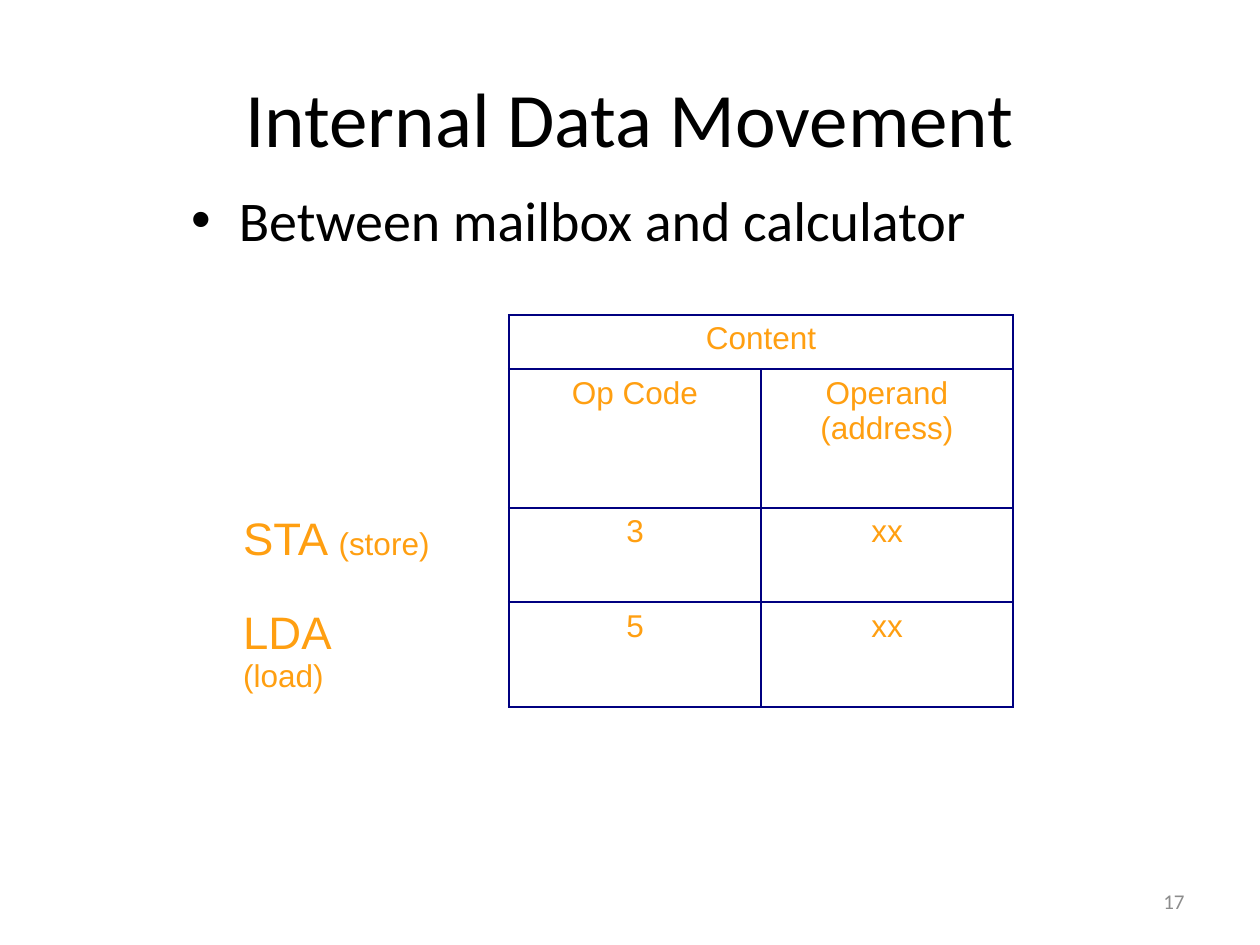
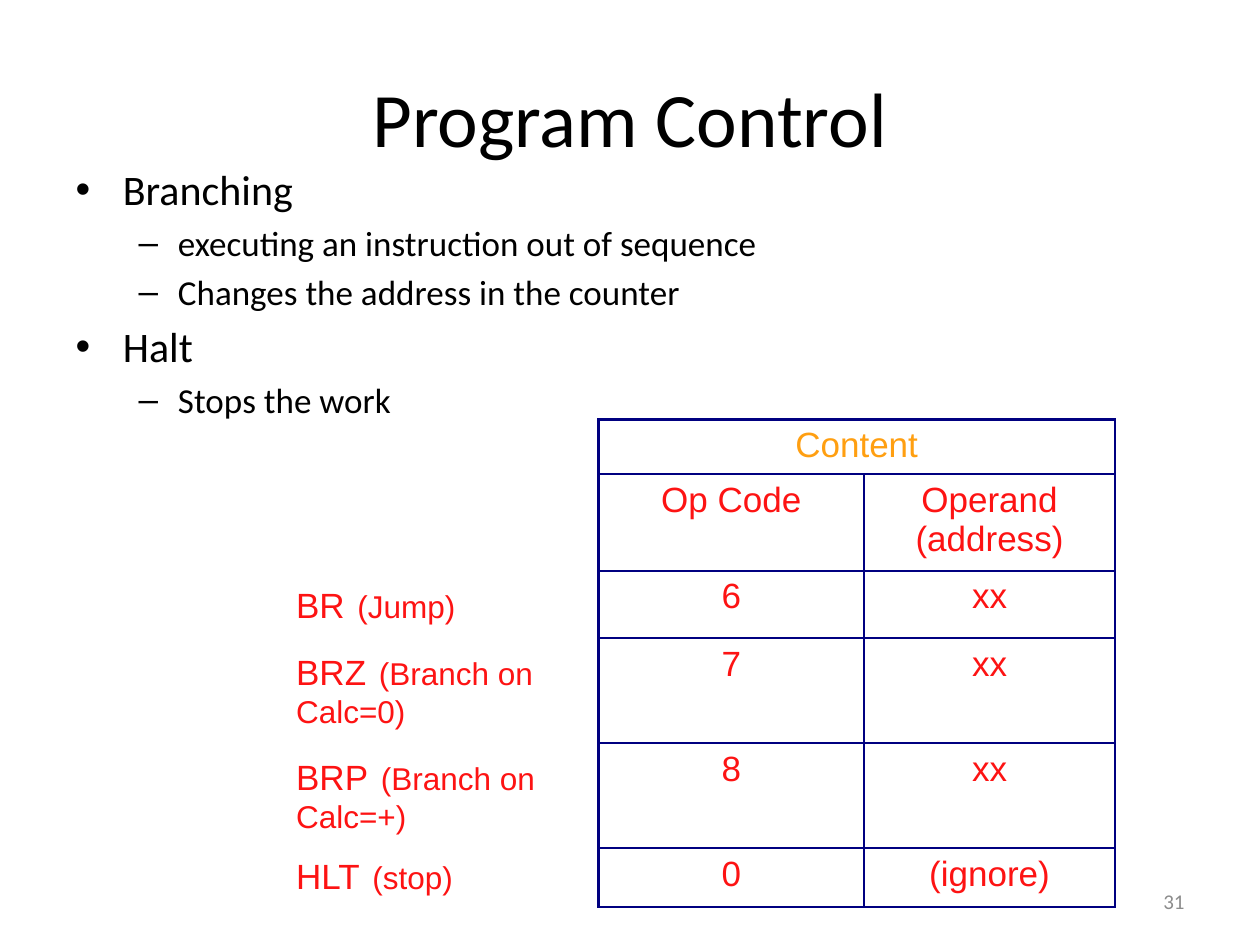
import dataclasses
import typing

import lxml.etree
import pptx
import pptx.dml.color
import pptx.enum.text
import pptx.oxml.ns
import pptx.util

Inches = pptx.util.Inches
Color = pptx.dml.color.RGBColor
Align = pptx.enum.text.PP_ALIGN

BLACK = Color(0x00, 0x00, 0x00)
WHITE = Color(0xFF, 0xFF, 0xFF)
GREY = Color(0x8C, 0x8C, 0x8C)
NAVY = Color(0x00, 0x00, 0x80)
ORANGE = Color(0xFF, 0x9F, 0x11)
RED = Color(0xFD, 0x13, 0x13)
HEAD = "Calibri"
CODE = "Arial"


class Run(typing.NamedTuple):
    text: str
    size: float


class Item(typing.NamedTuple):
    text: str
    size: float
    level: int = 0


class Order(typing.NamedTuple):
    """One row: the name lines in front of the frame, then two values."""
    name: list[list[Run]]
    code: str
    operand: str
    spacing: float | None = None


@dataclasses.dataclass
class Grid:
    left: float
    top: float
    cols: list[float]
    rows: list[float]
    size: float
    color: Color
    orders: list[Order]


@dataclasses.dataclass
class Page:
    title: str
    number: str
    box: tuple[float, float, float, float]
    items: list[Item]
    grid: Grid


def jump(name: str, note: str, code: str, operand: str = "xx",
         spacing: float | None = None) -> Order:
    runs = [Run(name, 20), Run(" ", 26), Run(note, 18)]
    return Order([runs], code, operand, spacing)


PAGES = [
    Page("Internal Data Movement", "17", (1.42, 1.42, 8.5, 0.83),
         [Item("Between mailbox and calculator", 32)],
         Grid(1.83, 2.5, [1.75, 0.46, 2, 2], [0.43, 1.1, 0.75, 0.83],
              18, ORANGE, [
                  Order([[Run("STA ", 26), Run("(store)", 18)]], "3", "xx"),
                  Order([[Run("LDA", 26)], [Run("(load)", 18)]], "5", "xx"),
              ])),
    Page("Program Control", "31", (0.5, 1.25, 9, 6),
         [Item("Branching", 24),
          Item("executing an instruction out of sequence", 20, 1),
          Item("Changes the address in the counter", 20, 1),
          Item("Halt", 24),
          Item("Stops the work", 20, 1)],
         Grid(2.25, 3.33, [2.26, 0.23, 2.11, 1.99],
              [0.42, 0.73, 0.5, 0.5, 0.39, 0.4], 20, RED, [
                  jump("BR", "(Jump)", "6"),
                  jump("BRZ", "(Branch on Calc=0)", "7"),
                  jump("BRP", "(Branch on Calc=+)", "8"),
                  jump("HLT", "(stop)", "0", "(ignore)", 0.85),
              ])),
]


def write(para, run: Run, color: Color, font: str) -> None:
    part = para.add_run()
    part.text = run.text
    part.font.size = pptx.util.Pt(run.size)
    part.font.name = font
    part.font.color.rgb = color


def place(shape, box: tuple[float, float, float, float]) -> None:
    shape.left, shape.top, shape.width, shape.height = map(Inches, box)


def fill(cell, lines: list[list[Run]], color: Color,
         align: Align = Align.CENTER, spacing: float | None = None) -> None:
    frame = cell.text_frame
    for i, runs in enumerate(lines):
        para = frame.add_paragraph() if i else frame.paragraphs[0]
        para.alignment = align
        para.line_spacing = spacing
        for run in runs:
            write(para, run, color, CODE)


def edge(cell, side: str, color: Color, width: float) -> None:
    qn = pptx.oxml.ns.qn
    line = lxml.etree.SubElement(cell._tc.get_or_add_tcPr(), qn(f"a:ln{side}"),
                                 w=str(pptx.util.Pt(width)))
    paint = lxml.etree.SubElement(line, qn("a:solidFill"))
    lxml.etree.SubElement(paint, qn("a:srgbClr"), val=str(color))


def frame_cell(cell, col: int) -> None:
    """Rule the value columns in navy and hide the lines round the names."""
    for side in "LRTB":
        if col > 1 or (col == 1 and side == "R"):
            edge(cell, side, NAVY, 1.5)
        else:
            edge(cell, side, WHITE, 1)
    cell.fill.background()


def add_grid(slide, grid: Grid) -> None:
    shape = slide.shapes.add_table(
        len(grid.rows), len(grid.cols), Inches(grid.left), Inches(grid.top),
        Inches(sum(grid.cols)), Inches(sum(grid.rows)))
    table = shape.table
    table.first_row = table.horz_banding = False
    for col, width in zip(table.columns, grid.cols):
        col.width = Inches(width)
    for row, height in zip(table.rows, grid.rows):
        row.height = Inches(height)
        for i, cell in enumerate(row.cells):
            frame_cell(cell, i)
    table.cell(0, 2).merge(table.cell(0, 3))

    def value(row: int, col: int, *texts: str, color: Color = grid.color) -> None:
        lines = [[Run(text, grid.size)] for text in texts]
        fill(table.cell(row, col), lines, color)

    value(0, 2, "Content", color=ORANGE)
    value(1, 2, "Op Code")
    value(1, 3, "Operand", "(address)")
    for row, order in enumerate(grid.orders, 2):
        fill(table.cell(row, 0), order.name, grid.color, Align.LEFT,
             order.spacing)
        value(row, 2, order.code)
        value(row, 3, order.operand)


def add_list(shape, page: Page) -> None:
    place(shape, page.box)
    frame = shape.text_frame
    frame.auto_size = pptx.enum.text.MSO_AUTO_SIZE.NONE
    for i, item in enumerate(page.items):
        para = frame.add_paragraph() if i else frame.paragraphs[0]
        para.level = item.level
        write(para, Run(item.text, item.size), BLACK, HEAD)


def add_number(slide, number: str) -> None:
    box = slide.shapes.add_textbox(*map(Inches, (7.17, 6.95, 2.33, 0.4)))
    frame = box.text_frame
    frame.word_wrap = True
    frame.vertical_anchor = pptx.enum.text.MSO_ANCHOR.MIDDLE
    para = frame.paragraphs[0]
    para.alignment = Align.RIGHT
    write(para, Run(number, 12), GREY, HEAD)


def add_page(deck, page: Page) -> None:
    slide = deck.slides.add_slide(deck.slide_layouts[1])
    title, body = slide.placeholders
    place(title, (0.5, 0.3, 9, 1.25))
    para = title.text_frame.paragraphs[0]
    para.alignment = Align.CENTER
    write(para, Run(page.title, 44), BLACK, HEAD)
    add_list(body, page)
    add_number(slide, page.number)
    add_grid(slide, page.grid)


def main() -> None:
    deck = pptx.Presentation()
    deck.slide_width, deck.slide_height = Inches(10), Inches(7.5)
    for page in PAGES:
        add_page(deck, page)
    deck.save("out.pptx")


if __name__ == "__main__":
    main()
